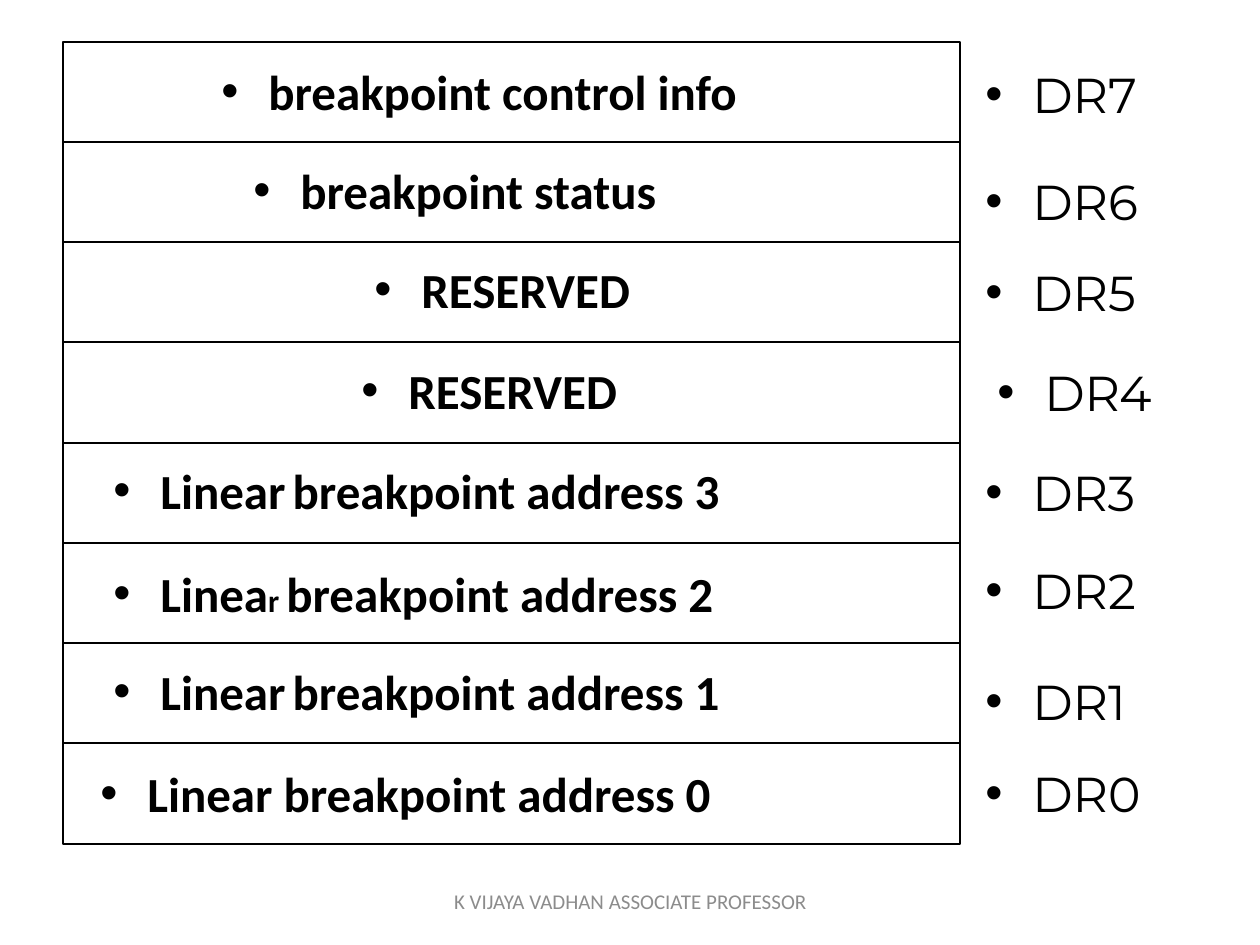
from lxml.etree import SubElement
from pptx import Presentation
from pptx.dml.color import RGBColor
from pptx.enum.shapes import MSO_SHAPE
from pptx.enum.text import MSO_ANCHOR, PP_ALIGN
from pptx.oxml.ns import qn
from pptx.util import Pt

BLACK = RGBColor(0x00, 0x00, 0x00)
GRAY = RGBColor(0x8C, 0x8C, 0x8C)
PX = 914400 / 126  # EMU per pixel
INDENT = 47


def px(n):
    return round(n * PX)


def add_text(s, runs, x, y, w, h=75, size=28, font="Calibri", color=BLACK, bold=False,
             bullet=True, align=PP_ALIGN.LEFT, anchor=MSO_ANCHOR.TOP):
    """Add a text box; runs is a string or a list of (text, size, bold)."""
    tf = s.shapes.add_textbox(px(x), px(y), px(w), px(h)).text_frame
    tf.word_wrap = True
    tf.vertical_anchor = anchor
    p = tf.paragraphs[0]
    p.alignment = align
    if bullet:
        pPr = p._p.get_or_add_pPr()
        pPr.set("marL", str(px(INDENT)))
        pPr.set("indent", str(-px(INDENT)))
        SubElement(pPr, qn("a:buFont")).set("typeface", "Arial")
        SubElement(pPr, qn("a:buChar")).set("char", "•")
    if isinstance(runs, str):
        runs = [(runs, size, bold)]
    for text, run_size, run_bold in runs:
        r = p.add_run()
        r.text = text
        r.font.name = font
        r.font.size = Pt(run_size)
        r.font.bold = run_bold
        r.font.color.rgb = color


prs = Presentation()
prs.slide_width, prs.slide_height = px(1260), px(945)
s = prs.slides.add_slide(prs.slide_layouts[6])

# Register rows: content, content x, content y, content width, label x, label y
rows = [
    ("breakpoint control info", 209, 55, 664, 973, 58),
    ("breakpoint status", 241, 154, 515, 973, 165),
    ("RESERVED", 362, 253, 423, 973, 256),
    ("RESERVED", 349, 354, 423, 985, 356),
    ([("Linear", 28, True), (" ", 18, False), ("breakpoint address 3", 28, True)],
     101, 454, 801, 973, 456),
    ([("Linea", 28, True), ("r ", 18, True), ("breakpoint address 2", 28, True)],
     101, 557, 793, 973, 554),
    ([("Linear", 28, True), (" ", 18, False), ("breakpoint address 1", 28, True)],
     101, 655, 801, 973, 665),
    ("Linear breakpoint address 0", 88, 757, 835, 973, 757),
]

# Stack of register boxes
LEFT, TOP, WIDTH, HEIGHT = 63, 42, 897, 802
edges = [TOP + HEIGHT * i // len(rows) for i in range(len(rows) + 1)]
for top, bottom in zip(edges, edges[1:]):
    sp = s.shapes.add_shape(MSO_SHAPE.RECTANGLE, px(LEFT), px(top), px(WIDTH), px(bottom - top))
    sp.shadow.inherit = False
    sp.fill.background()
    sp.line.color.rgb = BLACK
    sp.line.width = Pt(0.75)

# Contents and register names, DR7 down to DR0
for i, (content, x, y, w, label_x, label_y) in enumerate(rows):
    add_text(s, content, x, y, w, bold=True)
    add_text(s, f"DR{len(rows) - 1 - i}", label_x, label_y, 212, font="Montserrat")

# Footer
add_text(s, "K VIJAYA VADHAN ASSOCIATE PROFESSOR", 431, 876, 399, h=50, size=12, color=GRAY,
         bullet=False, align=PP_ALIGN.CENTER, anchor=MSO_ANCHOR.MIDDLE)

prs.save("out.pptx")
